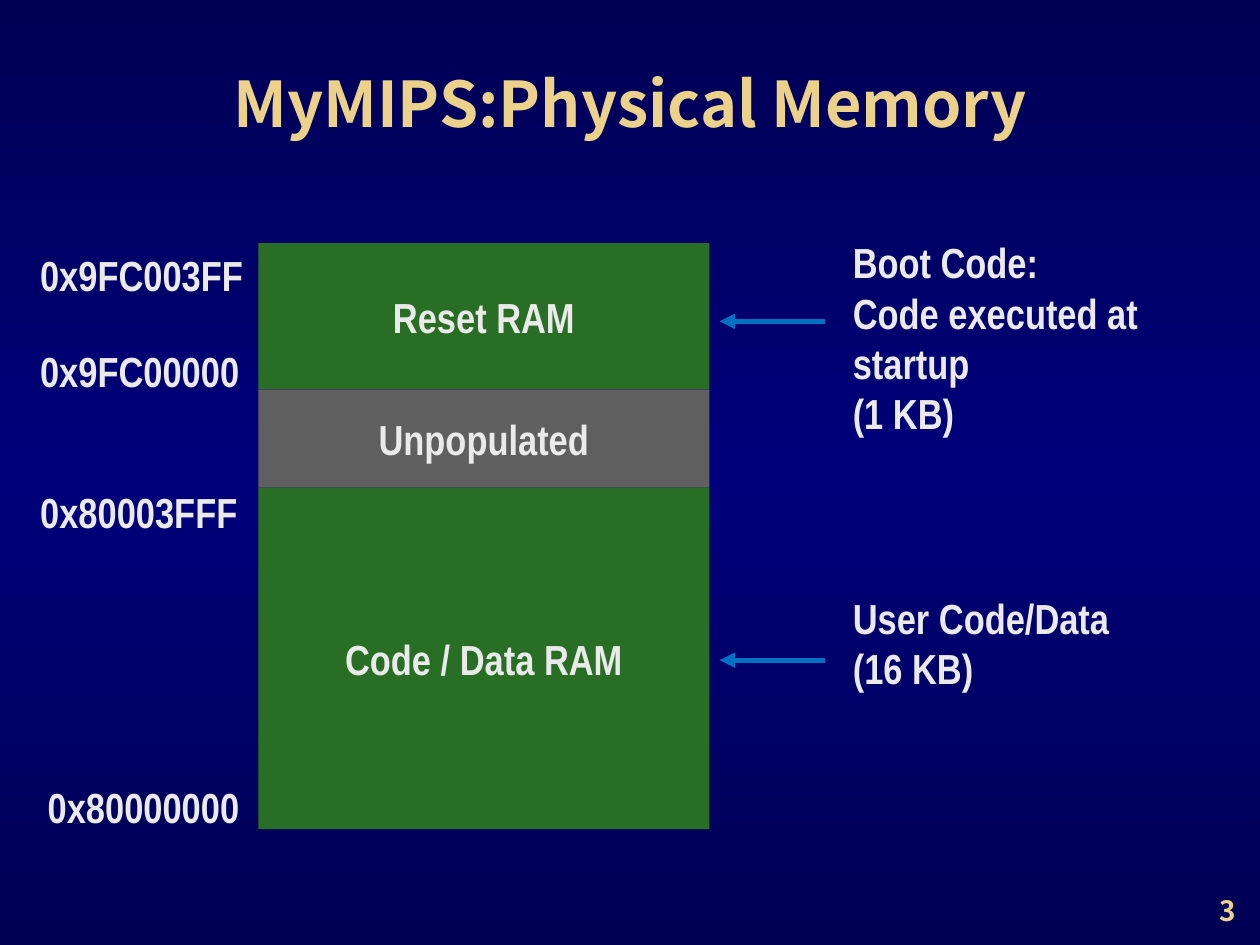
from dataclasses import dataclass

from lxml.etree import SubElement
from pptx import Presentation
from pptx.dml.color import RGBColor
from pptx.enum.shapes import MSO_CONNECTOR, MSO_SHAPE
from pptx.enum.text import MSO_ANCHOR, PP_ALIGN
from pptx.oxml.ns import qn
from pptx.slide import Slide
from pptx.text.text import TextFrame
from pptx.util import Inches, Length, Pt


@dataclass(frozen=True)
class TextStyle:
    font: str
    size: float
    color: str


@dataclass(frozen=True)
class Theme:
    edge: str = "000054"
    middle: str = "00007A"
    memory: str = "286E24"
    unpopulated: str = "5F5F5F"
    arrow: str = "0070C0"
    arrow_width: float = 3
    title: TextStyle = TextStyle("Noto Sans CJK JP", 36, "EBD189")
    number: TextStyle = TextStyle("Noto Sans CJK JP", 16, "EBD189")
    body: TextStyle = TextStyle("Arial Narrow", 24, "EAEAEA")


@dataclass(frozen=True)
class Box:
    """Left, top, width and height in grid cells."""
    column: float
    row: float
    columns: float
    rows: float


@dataclass(frozen=True)
class Region:
    name: str
    rows: float
    color: str


@dataclass(frozen=True)
class Address:
    text: str
    box: Box


@dataclass(frozen=True)
class Note:
    lines: tuple[str, ...]
    box: Box
    arrow_row: float


THEME = Theme()
SLIDE_WIDTH, SLIDE_HEIGHT = Inches(10), Inches(7.5)
CELL = SLIDE_WIDTH / 10

MAP_COLUMN, MAP_ROW, MAP_COLUMNS = 2.05, 1.93, 3.58
ARROW_START, ARROW_END = 6.55, 5.71

REGIONS = (
    Region("Reset RAM", 1.16, THEME.memory),
    Region("Unpopulated", 0.78, THEME.unpopulated),
    Region("Code / Data RAM", 2.71, THEME.memory),
)
ADDRESSES = (
    Address("0x9FC003FF", Box(0.22, 1.93, 1.83, 0.51)),
    Address("0x9FC00000", Box(0.22, 2.69, 1.8, 0.51)),
    Address("0x80003FFF", Box(0.22, 3.81, 1.79, 0.51)),
    Address("0x80000000", Box(0.28, 6.15, 1.74, 0.51)),
)
NOTES = (
    Note(("Boot Code:", "Code executed at startup", "(1 KB)"),
         Box(6.67, 1.83, 2.96, 1.72), 2.55),
    Note(("User Code/Data", "(16 KB)"), Box(6.67, 4.65, 3.21, 0.91), 5.24),
)


def cells(count: float) -> Length:
    return Length(round(count * CELL))


def place(box: Box) -> tuple[Length, ...]:
    return tuple(map(cells, (box.column, box.row, box.columns, box.rows)))


def write(frame: TextFrame, lines: tuple[str, ...], style: TextStyle,
          align: PP_ALIGN, anchor: MSO_ANCHOR, wrap: bool = True) -> None:
    frame.word_wrap = wrap
    frame.vertical_anchor = anchor
    for index, line in enumerate(lines):
        paragraph = frame.add_paragraph() if index else frame.paragraphs[0]
        paragraph.alignment = align
        run = paragraph.add_run()
        run.text = line
        run.font.name = style.font
        run.font.size = Pt(style.size)
        run.font.bold = True
        run.font.color.rgb = RGBColor.from_string(style.color)


def add_text(slide: Slide, box: Box, lines: tuple[str, ...],
             style: TextStyle = THEME.body, align: PP_ALIGN = PP_ALIGN.LEFT,
             anchor: MSO_ANCHOR = MSO_ANCHOR.TOP, wrap: bool = True) -> None:
    shape = slide.shapes.add_textbox(*place(box))
    write(shape.text_frame, lines, style, align, anchor, wrap)


def add_region(slide: Slide, region: Region, row: float) -> None:
    box = Box(MAP_COLUMN, row, MAP_COLUMNS, region.rows)
    shape = slide.shapes.add_shape(MSO_SHAPE.RECTANGLE, *place(box))
    shape.shadow.inherit = False
    shape.fill.solid()
    shape.fill.fore_color.rgb = RGBColor.from_string(region.color)
    shape.line.fill.background()
    write(shape.text_frame, (region.name,), THEME.body,
          PP_ALIGN.CENTER, MSO_ANCHOR.MIDDLE)


def add_arrow(slide: Slide, row: float) -> None:
    arrow = slide.shapes.add_connector(
        MSO_CONNECTOR.STRAIGHT,
        *map(cells, (ARROW_START, row, ARROW_END, row)))
    arrow.line.color.rgb = RGBColor.from_string(THEME.arrow)
    arrow.line.width = Pt(THEME.arrow_width)
    properties = arrow.element.spPr
    SubElement(properties.find(qn("a:ln")), qn("a:tailEnd"), type="triangle")
    SubElement(properties, qn("a:effectLst"))


def paint_background(slide: Slide) -> None:
    """Fill with a vertical gradient that is lightest halfway down."""
    fill = slide.background.fill
    fill.gradient()
    fill.gradient_angle = 90
    stops = slide.element.find(".//" + qn("a:gsLst"))
    for stop in list(stops):
        stops.remove(stop)
    for percent, color in ((0, THEME.edge), (50, THEME.middle), (100, THEME.edge)):
        stop = SubElement(stops, qn("a:gs"), pos=str(percent * 1000))
        SubElement(stop, qn("a:srgbClr"), val=color)


def main() -> None:
    presentation = Presentation()
    presentation.slide_width = SLIDE_WIDTH
    presentation.slide_height = SLIDE_HEIGHT
    slide = presentation.slides.add_slide(presentation.slide_layouts[6])
    paint_background(slide)

    add_text(slide, Box(0.75, 0.33, 8.5, 0.83), ("MyMIPS:Physical Memory",),
             THEME.title, PP_ALIGN.CENTER, MSO_ANCHOR.BOTTOM)
    add_text(slide, Box(7.83, 6.91, 2.08, 0.5), ("3",),
             THEME.number, PP_ALIGN.RIGHT, MSO_ANCHOR.BOTTOM)

    for note in NOTES:
        add_arrow(slide, note.arrow_row)
        add_text(slide, note.box, note.lines)

    row = MAP_ROW
    for region in REGIONS:
        add_region(slide, region, row)
        row += region.rows

    for address in ADDRESSES:
        add_text(slide, address.box, (address.text,), wrap=False)

    presentation.save("out.pptx")


if __name__ == "__main__":
    main()
